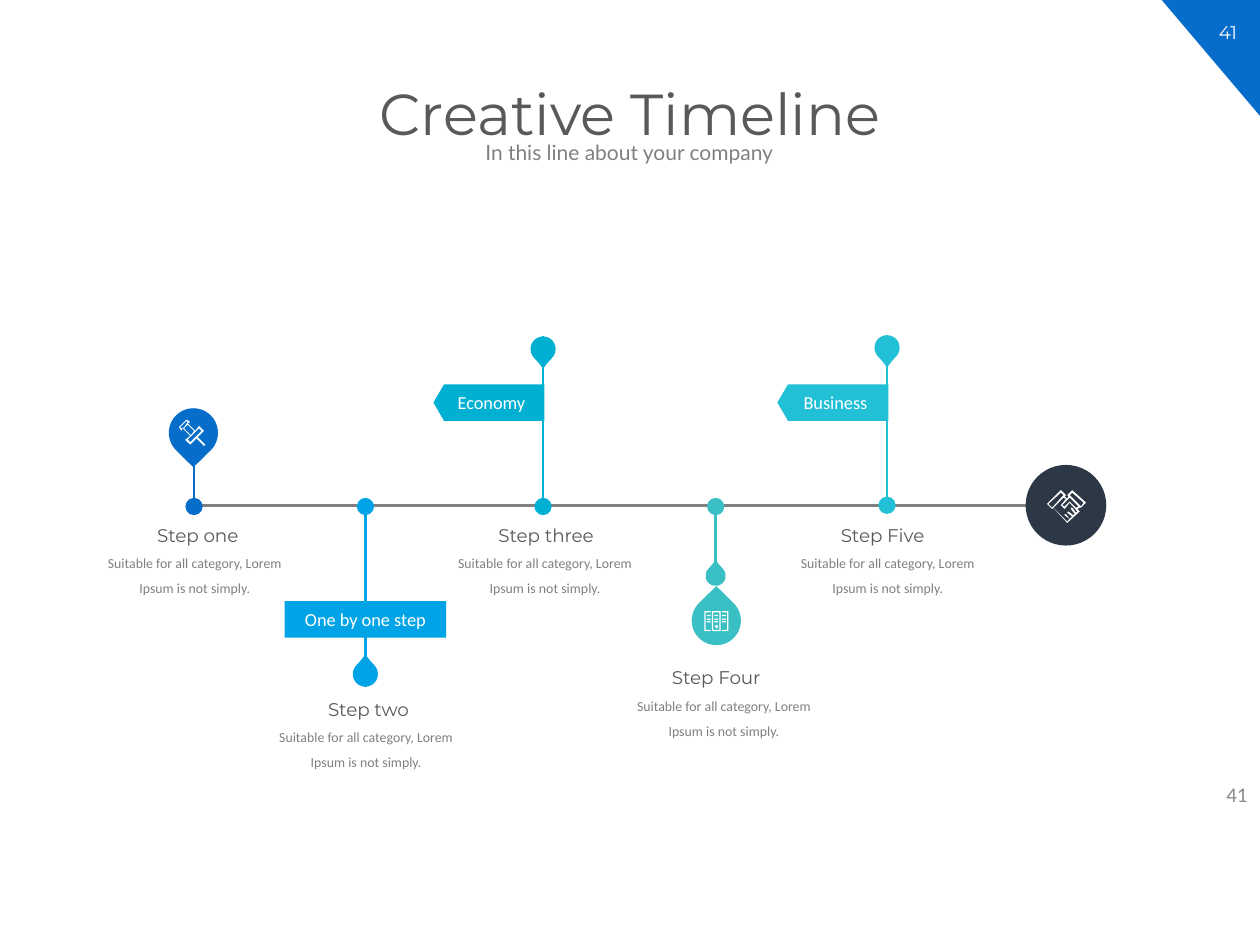
"""Build the Creative Timeline slide with five steps along one axis."""
from lxml import etree
from pptx import Presentation
from pptx.dml.color import RGBColor
from pptx.enum.shapes import MSO_CONNECTOR, MSO_SHAPE
from pptx.enum.text import MSO_ANCHOR, PP_ALIGN
from pptx.oxml.ns import qn
from pptx.util import Emu, Pt

PX = 9144
CENTER, RIGHT = PP_ALIGN.CENTER, PP_ALIGN.RIGHT
TOP, MIDDLE = MSO_ANCHOR.TOP, MSO_ANCHOR.MIDDLE
STRAIGHT = MSO_CONNECTOR.STRAIGHT
TRIANGLE, TEARDROP, OVAL = MSO_SHAPE.RIGHT_TRIANGLE, MSO_SHAPE.TEAR, MSO_SHAPE.OVAL
BAR, FLAG = MSO_SHAPE.ROUNDED_RECTANGLE, MSO_SHAPE.PENTAGON
COLORS = {
    "blue": "066DCA", "sky": "00A4E6", "cyan": "00B0D3", "teal": "3ABFC4",
    "aqua": "21C0D7", "navy": "2D3847", "white": "FFFFFF",
    "heading": "595959", "gray": "808080", "number": "8C8C8C",
}
DESCRIPTION = "Suitable for all category, Lorem Ipsum is not simply."

deck = Presentation()
deck.slide_width, deck.slide_height = Emu(1000 * PX), Emu(750 * PX)
slide = deck.slides.add_slide(deck.slide_layouts[6])
shapes = slide.shapes


def add_figure(kind, box, color, rotation=0, adjustment=None):
    figure = shapes.add_shape(kind, *(Emu(v * PX) for v in box))
    figure.shadow.inherit = False
    figure.fill.solid()
    figure.fill.fore_color.rgb = RGBColor.from_string(COLORS[color])
    figure.line.fill.background()
    figure.rotation = rotation
    if adjustment is not None:
        figure.adjustments[0] = adjustment
    return figure


def write(holder, text, font, size, color, align=CENTER, anchor=TOP, spacing=1.0, wrap=True):
    frame = holder.text_frame
    frame.word_wrap = wrap
    frame.vertical_anchor = anchor
    paragraph = frame.paragraphs[0]
    paragraph.text = text
    paragraph.alignment = align
    paragraph.line_spacing = spacing
    paragraph.font.name = font
    paragraph.font.size = Pt(size)
    paragraph.font.color.rgb = RGBColor.from_string(COLORS[color])


add_figure(TRIANGLE, (922, 0, 78, 92), "blue", 180)

axis_and_pins = [
    (154, 401, 831, 401, "gray"),
    (568, 452, 568, 402, "teal"),
    (290, 545, 290, 402, "sky"),
    (704, 276, 704, 401, "aqua"),
    (431, 267, 431, 402, "cyan"),
    (154, 367, 154, 402, "blue"),
]
for x1, y1, x2, y2, color in axis_and_pins:
    stem = shapes.add_connector(STRAIGHT, *(Emu(v * PX) for v in (x1, y1, x2, y2)))
    stem.line.width = Pt(1.5)
    stem.line.color.rgb = RGBColor.from_string(COLORS[color])
    if x1 == x2:
        etree.SubElement(stem.line._get_or_add_ln(), qn("a:tailEnd"), type="oval", w="lg", len="lg")
    etree.SubElement(stem._element.spPr, qn("a:effectLst"))

drops = [
    (560, 449, 16, "teal", 315, 1.12),
    (280, 525, 20, "sky", 315, 1.12),
    (694, 266, 20, "aqua", 135, 1.12),
    (421, 267, 20, "cyan", 135, 1.12),
    (134, 324, 39, "blue", 135, 0.99),
    (549, 473, 39, "teal", 315, 0.99),
]
for left, top, size, color, rotation, point in drops:
    add_figure(TEARDROP, (left, top, size, size), color, rotation, point)

banner = add_figure(BAR, (226, 477, 128, 29), "sky", adjustment=0)
write(banner, "One by one step", "Calibri", 10.5, "white", anchor=MIDDLE)
for left, label, color in [(617, "Business", "aqua"), (344, "Economy", "cyan")]:
    flag = add_figure(FLAG, (left, 305, 88, 29), color, adjustment=0.29)
    flag._element.spPr.xfrm.set("flipH", "1")
    write(flag, label, "Calibri", 10.5, "white", anchor=MIDDLE)

add_figure(OVAL, (814, 369, 64, 64), "navy")

headings = [
    ((949, 12, 51, 28), "41", "Montserrat", 10.5, "white", CENTER, TOP, 1.0),
    ((57, 63, 886, 73), "Creative Timeline", "Montserrat", 33, "heading", CENTER, TOP, 0.9),
    ((139, 109, 721, 26), "In this line about your company", "Lato", 12, "gray", CENTER, MIDDLE, 0.9),
    ((939, 622, 61, 17), "41", "Calibri", 12, "number", RIGHT, MIDDLE, 1.0),
]
for box, *style in headings:
    write(shapes.add_textbox(*(Emu(v * PX) for v in box)), *style)

steps = [
    ("Step one", 114, 86, 72, 411),
    ("Step three", 385, 97, 350, 411),
    ("Step Five", 657, 87, 622, 411),
    ("Step two", 249, 87, 208, 549),
    ("Step Four", 523, 91, 492, 524),
]
for name, left, width, description_left, top in steps:
    title = shapes.add_textbox(*(Emu(v * PX) for v in (left, top, width, 28)))
    write(title, name, "Montserrat", 10.5, "heading", wrap=False)
    detail = shapes.add_textbox(*(Emu(v * PX) for v in (description_left, top + 18, 165, 50)))
    write(detail, DESCRIPTION, "Calibri", 7.9, "gray", spacing=1.5)

binders = [
    [(565, 485), (572, 485), (572, 501), (565, 501)],
    [(566, 486), (571, 486), (571, 500), (566, 500)],
    [(573, 485), (578, 485), (578, 501), (573, 501), (573, 500), (577, 500), (577, 486), (573, 486)],
    [(564, 485), (559, 485), (559, 501), (564, 501), (564, 500), (560, 500), (560, 486), (564, 486)],
    [(569, 496), (570, 497), (569, 499), (567, 497)],
]
for x in (561, 567, 573):
    for y in (488, 491, 493):
        binders.append([(x, y), (x + 3, y), (x + 3, y + 1), (x, y + 1)])

handshake = [
    [(858, 403), (862, 399), (851, 389), (847, 393), (848, 394), (847, 396), (845, 394), (846, 393),
     (842, 389), (831, 400), (835, 404), (836, 403), (847, 415), (857, 406), (855, 404), (857, 403)],
    [(832, 400), (842, 391), (844, 393), (835, 403)],
    [(854, 407), (851, 403), (850, 403), (850, 404), (853, 408), (852, 409), (848, 406), (847, 407),
     (851, 410), (849, 412), (846, 408), (845, 408), (845, 409), (849, 412), (847, 414), (836, 403),
     (844, 395), (846, 396), (842, 401), (845, 404), (849, 399), (855, 406)],
    [(854, 403), (849, 398), (845, 402), (843, 401), (847, 397), (849, 395), (856, 402)],
    [(851, 391), (860, 399), (858, 402), (849, 393)],
]

pushpin = [
    [(163, 353), (157, 347), (162, 342), (158, 338), (155, 342), (149, 336), (151, 335), (148, 333),
     (142, 339), (144, 342), (145, 340), (151, 346), (147, 349), (151, 353), (156, 348), (162, 354)],
    [(144, 340), (143, 339), (148, 334), (149, 335), (147, 338), (145, 340)],
    [(146, 340), (149, 337), (154, 342), (152, 345), (151, 345)],
    [(149, 349), (151, 347), (154, 344), (158, 340), (160, 342), (151, 351)],
]

for contours in (binders, handshake, pushpin):
    outline = shapes.build_freeform(*contours[0][0], scale=PX)
    outline.add_line_segments(contours[0][1:], close=True)
    for contour in contours[1:]:
        outline.move_to(*contour[0])
        outline.add_line_segments(contour[1:], close=True)
    icon = outline.convert_to_shape()
    icon.shadow.inherit = False
    icon.fill.solid()
    icon.fill.fore_color.rgb = RGBColor.from_string(COLORS["white"])
    icon.line.fill.background()

deck.save("out.pptx")
